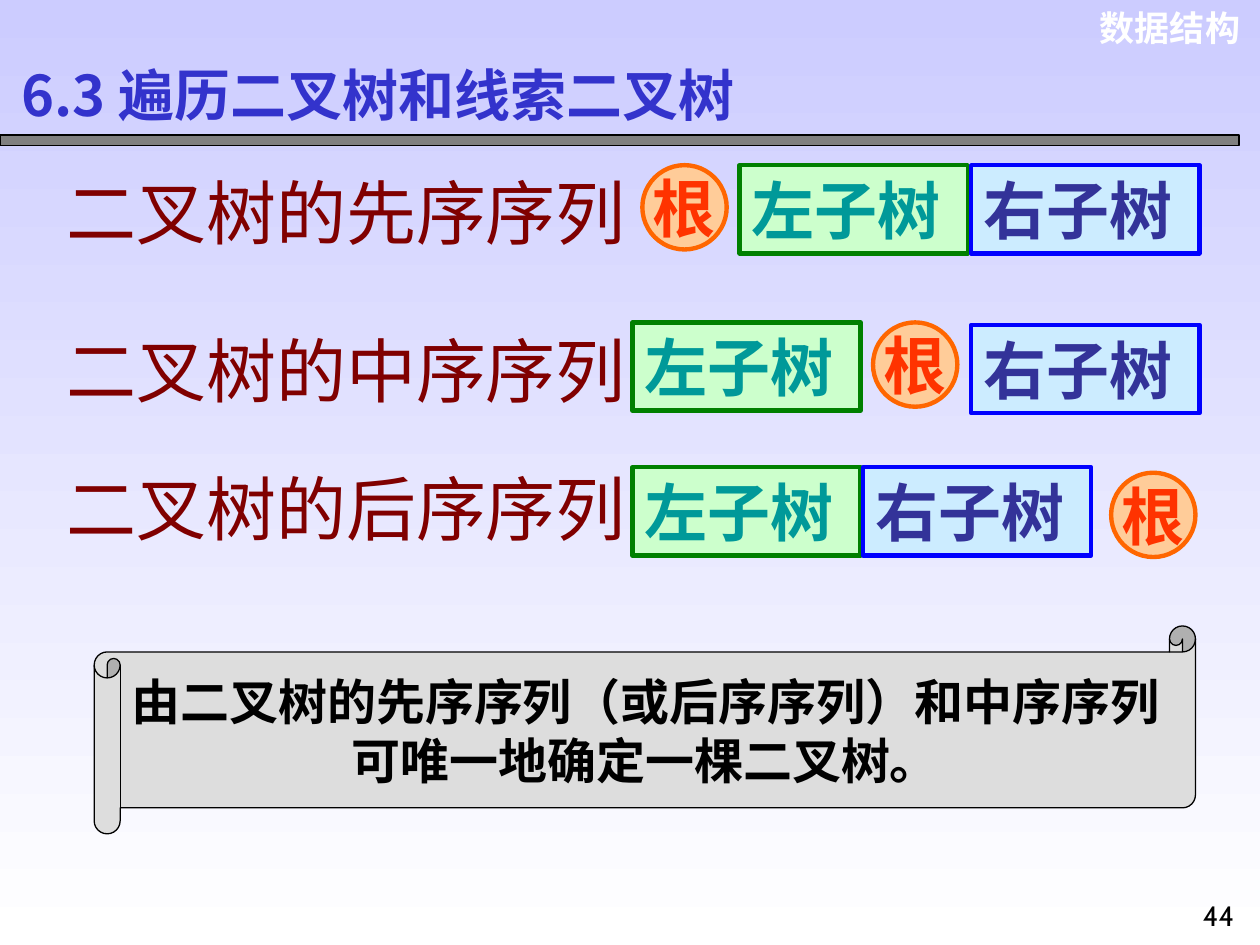
from pptx import Presentation
from pptx import util as u
from pptx.dml.color import RGBColor
from pptx.enum import shapes, text
from pptx.oxml.ns import qn
from lxml import etree


class Theme:
    serif, sans, heading, number = "Times New Roman", "Arial", "Noto Sans CJK SC", "Cabin"
    east_asian = {serif: sans}
    top, bottom = "CCCCFF", "FFFFFF"
    white, black, bar, scroll = "FFFFFF", "000000", "808080", "DDDDDD"
    title, label = "3333CC", "800000"
    root = ("FFCC99", "FF6600", "FF3300")
    left = ("CCFFCC", "008000", "009999")
    right = ("CCECFF", "0000FF", "333399")
    label_size, node_size, title_size = 40, 36, 32
    rule_size, course_size, page_size = 28, 20, 16
    node_line, thin_line = 2.5, 0.75


def write(shape, lines, font, size, color, bold=True, align=text.PP_ALIGN.LEFT,
          anchor=text.MSO_ANCHOR.TOP, wrap=True, spacing=None):
    frame = shape.text_frame
    frame.word_wrap = wrap
    frame.vertical_anchor = anchor
    for index, line in enumerate(lines):
        paragraph = frame.paragraphs[0] if index == 0 else frame.add_paragraph()
        paragraph.alignment = align
        paragraph.line_spacing = spacing
        run = paragraph.add_run()
        run.text = line
        run.font.name = font
        run.font.size = u.Pt(size)
        run.font.bold = bold
        run.font.color.rgb = RGBColor.from_string(color)
        east_asian = etree.SubElement(run.font._element, qn("a:ea"))
        east_asian.set("typeface", Theme.east_asian.get(font, font))


def draw(parent, preset, left, top, width, height, fill, line, weight):
    shape = parent.add_shape(preset, u.Cm(left), u.Cm(top), u.Cm(width), u.Cm(height))
    shape.shadow.inherit = False
    shape.fill.solid()
    shape.fill.fore_color.rgb = RGBColor.from_string(fill)
    shape.line.color.rgb = RGBColor.from_string(line)
    shape.line.width = u.Pt(weight)
    return shape


deck = Presentation()
deck.slide_width, deck.slide_height = u.Cm(25.4), u.Cm(19.05)
slide = deck.slides.add_slide(deck.slide_layouts[6])
canvas = slide.shapes

backdrop = slide.background.fill
backdrop.gradient()
backdrop.gradient_angle = 270
for stop, color in zip(backdrop.gradient_stops, (Theme.top, Theme.bottom)):
    stop.color.rgb = RGBColor.from_string(color)

course = canvas.add_textbox(u.Cm(21.77), u.Cm(0), u.Cm(3.48), u.Cm(1.12))
write(course, ["数据结构"], Theme.sans, Theme.course_size, Theme.white,
      align=text.PP_ALIGN.RIGHT)

draw(canvas, shapes.MSO_SHAPE.RECTANGLE, 0, 2.72, 24.98, 0.21,
     Theme.bar, Theme.black, Theme.thin_line)

title = canvas.add_textbox(u.Cm(0.18), u.Cm(1.17), u.Cm(17.15), u.Cm(1.45))
write(title, ["6.3 遍历二叉树和线索二叉树"], Theme.heading, Theme.title_size, Theme.title,
      anchor=text.MSO_ANCHOR.MIDDLE)

subtrees = {"左子树": Theme.left, "右子树": Theme.right}
traversals = [
    ("二叉树的先序序列", 3.12, [("根", 12.95, 3.33), ("左子树", 14.91, 3.33), ("右子树", 19.58, 3.33)]),
    ("二叉树的中序序列", 6.3, [("左子树", 12.75, 6.5), ("根", 17.6, 6.5), ("右子树", 19.58, 6.55)]),
    ("二叉树的后序序列", 9.09, [("左子树", 12.75, 9.42), ("右子树", 17.4, 9.42), ("根", 22.4, 9.53)]),
]
for name, label_top, nodes in traversals:
    label = canvas.add_textbox(u.Cm(1.09), u.Cm(label_top), u.Cm(11.86), u.Cm(2.13))
    write(label, [name], Theme.serif, Theme.label_size, Theme.label, bold=False, spacing=1.1)
    for part, left, top in nodes:
        if part in subtrees:
            fill, line, ink = subtrees[part]
            subtree = draw(canvas, shapes.MSO_SHAPE.RECTANGLE, left, top, 4.6, 1.78,
                           fill, line, Theme.node_line)
            write(subtree, [part], Theme.serif, Theme.node_size, ink)
        else:
            fill, line, ink = Theme.root
            root = draw(canvas, shapes.MSO_SHAPE.OVAL, left, top, 1.7, 1.7,
                        fill, line, Theme.node_line)
            write(root, [part], Theme.serif, Theme.node_size, ink, wrap=False,
                  align=text.PP_ALIGN.CENTER, anchor=text.MSO_ANCHOR.MIDDLE)

conclusion = canvas.add_group_shape().shapes
draw(conclusion, shapes.MSO_SHAPE.HORIZONTAL_SCROLL, 1.9, 12.62, 22.2, 4.19,
     Theme.scroll, Theme.black, Theme.thin_line)
rule = conclusion.add_textbox(u.Cm(2.21), u.Cm(13.41), u.Cm(21.6), u.Cm(2.64))
write(rule, ["由二叉树的先序序列（或后序序列）和中序序列", "可唯一地确定一棵二叉树。"],
      Theme.sans, Theme.rule_size, Theme.black, align=text.PP_ALIGN.CENTER, wrap=False)

page = canvas.add_textbox(u.Cm(23.93), u.Cm(17.98), u.Cm(1.27), u.Cm(1.07))
write(page, ["44"], Theme.number, Theme.page_size, Theme.black, bold=False,
      align=text.PP_ALIGN.CENTER)

deck.save("out.pptx")
